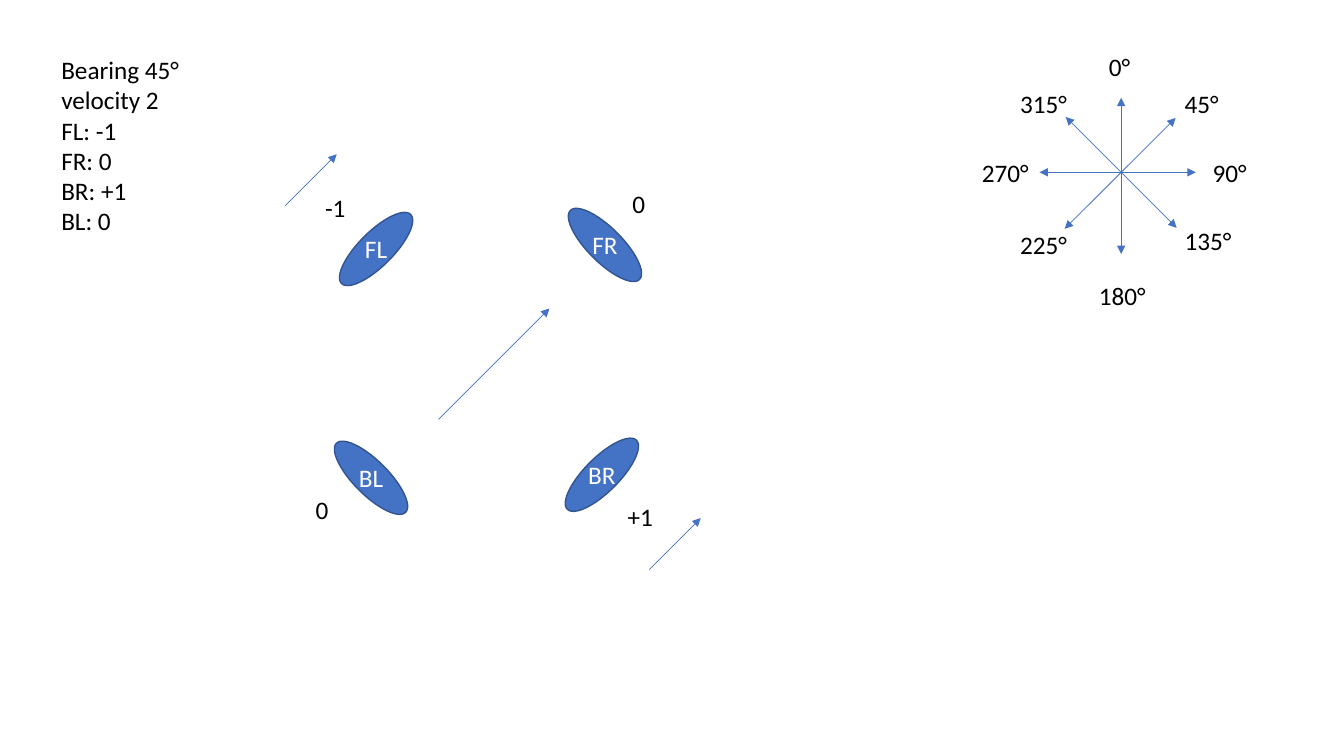
from pptx import Presentation
from pptx.dml.color import RGBColor
from pptx.enum.shapes import MSO_CONNECTOR, MSO_SHAPE
from pptx.enum.text import MSO_AUTO_SIZE, PP_ALIGN
from pptx.oxml.ns import qn
from pptx.util import Inches, Pt
from lxml import etree

BLUE = RGBColor(0x44, 0x72, 0xC4)
DARK_BLUE = RGBColor(0x32, 0x54, 0x91)
BLACK = RGBColor(0, 0, 0)
WHITE = RGBColor(0xFF, 0xFF, 0xFF)
STRAIGHT = MSO_CONNECTOR.STRAIGHT
OVAL = MSO_SHAPE.OVAL
FIT_SHAPE = MSO_AUTO_SIZE.SHAPE_TO_FIT_TEXT
LEFT, CENTER = PP_ALIGN.LEFT, PP_ALIGN.CENTER

LABEL_HEIGHT = 0.4
WHEEL_LENGTH, WHEEL_THICKNESS = 0.97, 0.34
WHEEL_LABEL_WIDTH = 0.56

SUMMARY = ["Bearing 45°", "velocity 2", "FL: -1", "FR: 0", "BR: +1", "BL: 0"]

# Compass: start and end of each axis, then text, left, top and width
COMPASS_AXES = [
    (1.48, 2.06, 1.48, 0.51),
    (2.22, 1.25, 0.67, 1.25),
    (0.92, 1.81, 2.02, 0.71),
    (0.93, 0.7, 2.03, 1.8),
]
COMPASS_LABELS = [
    ("0°", 1.26, 0, 0.42),
    ("45°", 2.01, 0.37, 0.54),
    ("90°", 2.29, 1.05, 0.54),
    ("135°", 2.01, 1.73, 0.67),
    ("180°", 1.16, 2.27, 0.67),
    ("225°", 0.38, 1.77, 0.67),
    ("270°", 0, 1.05, 0.67),
    ("315°", 0.38, 0.37, 0.67),
]

# Wheels: name, centre x, centre y, rotation
WHEELS = [
    ("FL", 0.9, 0.94, -45),
    ("FR", 3.17, 0.9, 45),
    ("BR", 3.14, 3.18, -45),
    ("BL", 0.85, 3.21, 45),
]
# Wheel speeds: text, left, top, width
SPEEDS = [
    ("-1", 0.29, 0.33, 0.41),
    ("0", 3.34, 0.29, 0.33),
    ("+1", 3.29, 3.39, 0.46),
    ("0", 0.2, 3.33, 0.33),
]
# Arrows at 45°: start x, start y, horizontal reach
HEADINGS = [(1.52, 2.63, 1.1), (0, 0.51, 0.51), (3.61, 4.12, 0.51)]


def add_text(slide, lines, left, top, width, height=LABEL_HEIGHT,
             color=BLACK, alignment=LEFT, wrap=False):
    box = slide.shapes.add_textbox(
        Inches(left), Inches(top), Inches(width), Inches(height))
    frame = box.text_frame
    frame.text = "\n".join(lines)
    frame.word_wrap = wrap
    frame.auto_size = FIT_SHAPE
    font_format = {"name": "Calibri", "size": Pt(18)}
    for paragraph in frame.paragraphs:
        paragraph.alignment = alignment
        for attribute, value in font_format.items():
            setattr(paragraph.font, attribute, value)
        paragraph.font.color.rgb = color


def add_arrow(slide, start_x, start_y, end_x, end_y, ends=("tailEnd",)):
    """Draw a thin line with a triangle at each of the named line ends."""
    arrow = slide.shapes.add_connector(
        STRAIGHT, Inches(start_x), Inches(start_y), Inches(end_x), Inches(end_y))
    arrow.line.color.rgb = BLUE
    arrow.line.width = Pt(0.5)
    line = arrow.line._get_or_add_ln()
    for end in ends:
        etree.SubElement(line, qn(f"a:{end}"), type="triangle")
    etree.SubElement(arrow._element.spPr, qn("a:effectLst"))


def add_wheel(slide, name, center_x, center_y, rotation):
    wheel = slide.shapes.add_shape(
        OVAL,
        Inches(center_x - WHEEL_LENGTH / 2),
        Inches(center_y - WHEEL_THICKNESS / 2),
        Inches(WHEEL_LENGTH), Inches(WHEEL_THICKNESS))
    wheel.rotation = rotation
    wheel.shadow.inherit = False
    wheel.fill.solid()
    wheel.fill.fore_color.rgb = BLUE
    wheel.line.color.rgb = DARK_BLUE
    wheel.line.width = Pt(1)
    add_text(slide, [name], center_x - WHEEL_LABEL_WIDTH / 2,
             center_y - LABEL_HEIGHT / 2, WHEEL_LABEL_WIDTH,
             color=WHITE, alignment=CENTER, wrap=True)


def add_compass(slide, left, top):
    for start_x, start_y, end_x, end_y in COMPASS_AXES:
        add_arrow(slide, left + start_x, top + start_y, left + end_x,
                  top + end_y, ends=("headEnd", "tailEnd"))
    for text, x, y, width in COMPASS_LABELS:
        add_text(slide, [text], left + x, top + y, width)


def add_drive(slide, left, top):
    """Draw the four wheels with their speeds and headings."""
    for text, x, y, width in SPEEDS:
        add_text(slide, [text], left + x, top + y, width, alignment=CENTER)
    for x, y, reach in HEADINGS:
        add_arrow(slide, left + x, top + y, left + x + reach, top + y - reach)
    for name, x, y, rotation in WHEELS:
        add_wheel(slide, name, left + x, top + y, rotation)


def main():
    presentation = Presentation()
    presentation.slide_width = Inches(13.33)
    presentation.slide_height = Inches(7.5)
    blank_layout = presentation.slide_layouts[6]
    slide = presentation.slides.add_slide(blank_layout)
    add_text(slide, SUMMARY, 0.51, 0.49, 2.46, 1.92, wrap=True)
    add_compass(slide, 9.64, 0.46)
    add_drive(slide, 2.83, 1.53)
    presentation.save("out.pptx")


if __name__ == "__main__":
    main()
